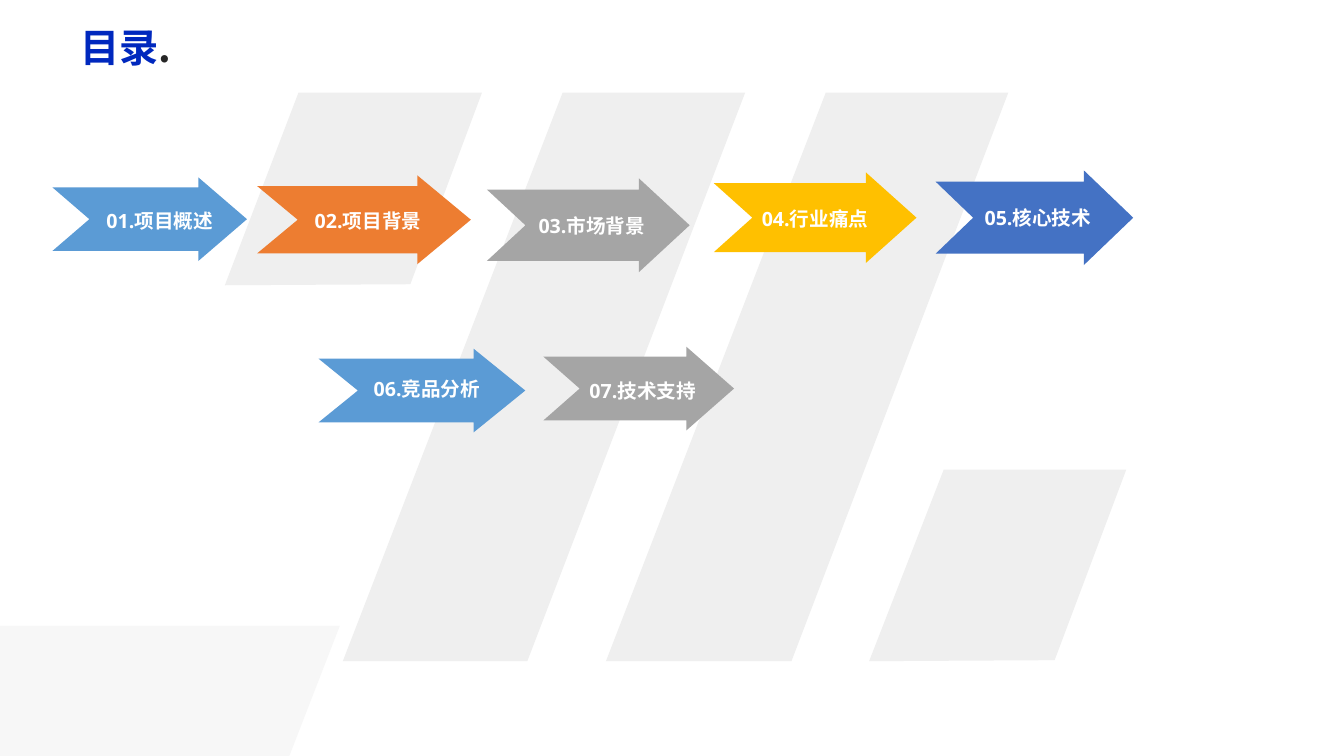
from dataclasses import dataclass

from lxml import etree
from pptx import Presentation
from pptx.dml.color import RGBColor
from pptx.enum.text import PP_ALIGN
from pptx.oxml.ns import qn
from pptx.util import Inches, Pt

LEFT, CENTER = PP_ALIGN.LEFT, PP_ALIGN.CENTER
CELL = Inches(0.1)
COLS, ROWS = 133.3, 75
HEAD, NOTCH, WING = 0.25, 0.19, 0.12
LATIN, HAN = "Open Sans", "Noto Sans CJK SC"
COLORS = {
    "wedge": "F7F7F7", "band": "EFEFEF", "white": "FFFFFF",
    "blue": "5B9BD5", "orange": "ED7D31", "gray": "A5A5A5",
    "gold": "FFC000", "royal": "4472C4", "title": "0028BE", "dot": "262626",
}
Point = tuple[float, float]


@dataclass
class Box:
    left: float
    top: float
    width: float
    height: float


@dataclass
class Patch:
    color: str
    points: list[Point]


@dataclass
class Arrow:
    color: str
    box: Box
    text: str
    label: Box


PATCHES = [
    Patch("wedge", [(0, 62.1), (33.7, 62.1), (28.7, ROWS), (0, ROWS)]),
    Patch("band", [(22.3, 28.3), (29.6, 9.2), (47.8, 9.2), (40.7, 28.2)]),
    Patch("band", [(86.2, 65.6), (93.6, 46.6), (111.7, 46.6), (104.6, 65.5)]),
    Patch("band", [(34, 65.6), (55.8, 9.2), (73.9, 9.2), (52.3, 65.6)]),
    Patch("band", [(60.1, 65.6), (81.9, 9.2), (100, 9.2), (78.5, 65.6)]),
]
ARROWS = [
    Arrow("blue", Box(5.2, 17.6, 19.3, 8.3), "01.项目概述", Box(5, 20.2, 21.7, 3.4)),
    Arrow("orange", Box(25.5, 17.4, 21.2, 8.8), "02.项目背景", Box(26.9, 20.2, 19.2, 3.4)),
    Arrow("gray", Box(48.3, 17.7, 20.1, 9.3), "03.市场背景", Box(48.3, 20.7, 20.8, 3.4)),
    Arrow("gold", Box(70.8, 17.1, 20.1, 9), "04.行业痛点", Box(72, 20, 17.7, 3.4)),
    Arrow("royal", Box(92.8, 16.9, 19.6, 9.4), "05.核心技术", Box(94.1, 19.9, 17.7, 3.4)),
    Arrow("blue", Box(31.6, 34.6, 20.5, 8.3), "06.竞品分析", Box(31.5, 36.9, 21.7, 3.4)),
    Arrow("gray", Box(53.9, 34.4, 18.9, 8.3), "07.技术支持", Box(52.9, 37.1, 21.7, 3.4)),
]


def cells(count: float) -> int:
    return round(count * CELL)


def tint(name: str) -> RGBColor:
    return RGBColor.from_string(COLORS[name])


def draw_patch(shapes, patch: Patch) -> None:
    spots = [(cells(x), cells(y)) for x, y in patch.points]
    pen = shapes.build_freeform(*spots[0], scale=1.0)
    pen.add_line_segments(spots[1:], close=True)
    shape = pen.convert_to_shape()
    shape.shadow.inherit = False
    shape.fill.solid()
    shape.fill.fore_color.rgb = tint(patch.color)
    shape.line.fill.background()


def draw_text(shapes, box: Box, parts: list[tuple[str, str]], size: int,
              face: str, align: PP_ALIGN) -> None:
    area = shapes.add_textbox(*map(cells, (box.left, box.top, box.width, box.height)))
    area.text_frame.word_wrap = True
    line = area.text_frame.paragraphs[0]
    line.alignment = align
    line.font.size, line.font.bold, line.font.name = Pt(size), True, face
    for latin in line._p.iter(qn("a:latin")):
        asian = etree.Element(qn("a:ea"))
        asian.set("typeface", HAN)
        latin.addnext(asian)
    if len(parts) == 1:
        line.font.color.rgb = tint(parts[0][1])
    for text, color in parts:
        run = line.add_run()
        run.text = text
        if len(parts) > 1:
            run.font.color.rgb = tint(color)


def draw_arrow(shapes, arrow: Arrow) -> None:
    box = arrow.box
    right, base = box.left + box.width, box.top + box.height
    mid = box.top + box.height / 2
    neck = right - HEAD * box.width
    high, low = box.top + WING * box.height, base - WING * box.height
    draw_patch(shapes, Patch(arrow.color, [
        (right, mid), (neck, box.top), (neck, high), (box.left, high),
        (box.left + NOTCH * box.width, mid),
        (box.left, low), (neck, low), (neck, base),
    ]))
    draw_text(shapes, arrow.label, [(arrow.text, "white")], 14, LATIN, CENTER)


def main() -> None:
    deck = Presentation()
    deck.slide_width, deck.slide_height = cells(COLS), cells(ROWS)
    shapes = deck.slides.add_slide(deck.slide_layouts[6]).shapes
    for patch in PATCHES:
        draw_patch(shapes, patch)
    for arrow in ARROWS:
        draw_arrow(shapes, arrow)
    draw_text(shapes, Box(7, 1.8, 17.5, 6), [("目录", "title"), (".", "dot")], 28, HAN, LEFT)
    deck.save("out.pptx")


if __name__ == "__main__":
    main()
